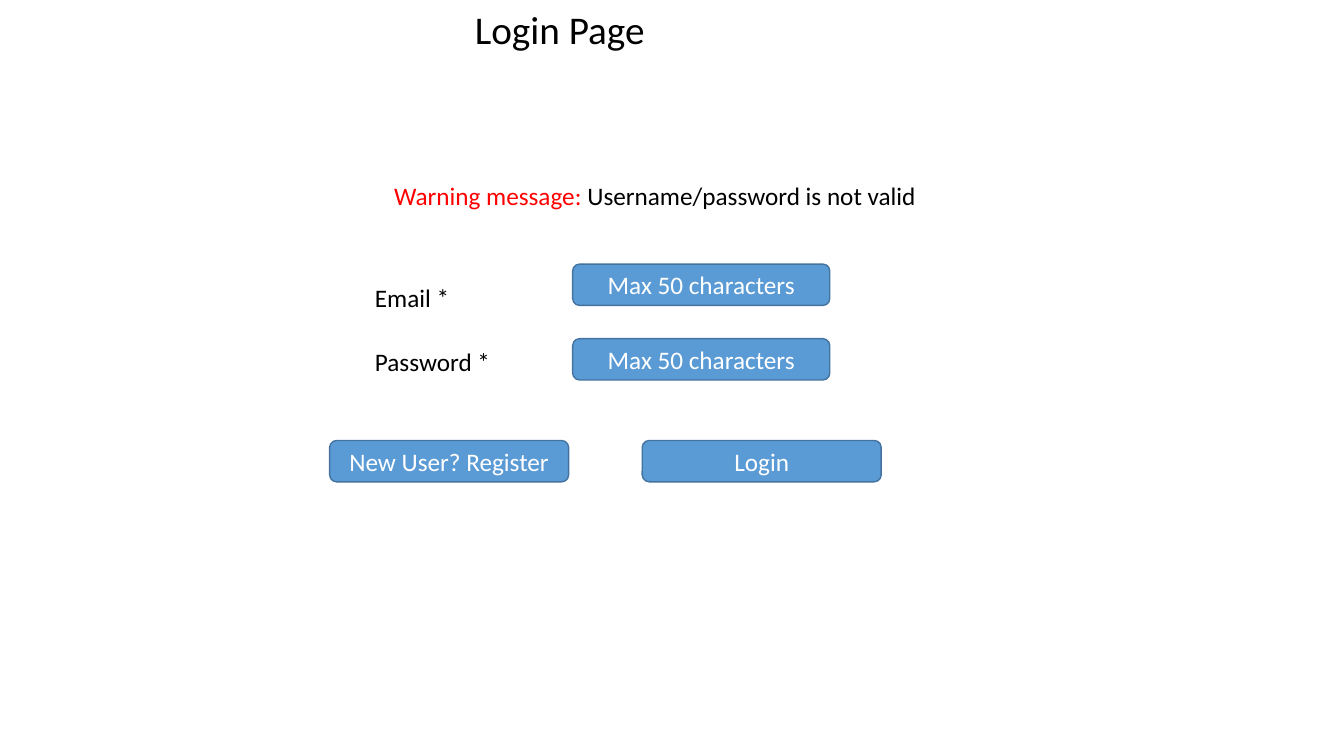
from dataclasses import dataclass

from pptx import Presentation
from pptx.dml.color import RGBColor
from pptx.enum.shapes import MSO_SHAPE
from pptx.enum.text import MSO_ANCHOR, MSO_AUTO_SIZE, PP_ALIGN
from pptx.shapes.autoshape import Shape
from pptx.slide import Slide
from pptx.util import Inches, Pt

FONT = "Calibri"
BLACK, WHITE, RED = "000000", "FFFFFF", "FF0000"
BLUE, EDGE = "5B9BD5", "43739E"
HIGH = 0.41


@dataclass
class Phrase:
    text: str
    color: str = BLACK


@dataclass
class Label:
    left: float
    top: float
    width: float
    words: list[Phrase]


@dataclass
class Button:
    left: float
    top: float
    width: float
    text: str


LABELS = [
    Label(3.62, 2.75, 1.68, [Phrase("Email *")]),
    Label(3.62, 3.39, 1.68, [Phrase("Password *")]),
    Label(3.81, 1.74, 6.54, [Phrase("Warning message: ", RED),
                             Phrase("Username/password is not valid")]),
]
BUTTONS = [
    Button(5.68, 2.62, 2.55, "Max 50 characters"),
    Button(5.68, 3.36, 2.55, "Max 50 characters"),
    Button(3.27, 4.37, 2.37, "New User? Register"),
    Button(6.37, 4.37, 2.37, "Login"),
]


def rgb(color: str) -> RGBColor:
    return RGBColor.from_string(color)


def fill_text(shape: Shape, words: list[Phrase], size: int,
              align: PP_ALIGN, anchor: MSO_ANCHOR) -> None:
    frame = shape.text_frame
    frame.word_wrap = True
    frame.vertical_anchor = anchor
    line = frame.paragraphs[0]
    line.alignment = align
    line.font.name = FONT
    line.font.size = Pt(size)
    for phrase in words:
        run = line.add_run()
        run.text = phrase.text
        run.font.color.rgb = rgb(phrase.color)


def add_title(slide: Slide, text: str) -> None:
    title = slide.shapes.title
    title.left, title.top = Inches(4.61), Inches(0)
    title.width, title.height = Inches(8.3), Inches(0.57)
    fill_text(title, [Phrase(text)], 28, PP_ALIGN.LEFT, MSO_ANCHOR.TOP)
    title.text_frame.auto_size = MSO_AUTO_SIZE.SHAPE_TO_FIT_TEXT


def add_label(slide: Slide, label: Label) -> None:
    box = slide.shapes.add_textbox(Inches(label.left), Inches(label.top),
                                   Inches(label.width), Inches(HIGH))
    fill_text(box, label.words, 18, PP_ALIGN.LEFT, MSO_ANCHOR.TOP)
    box.text_frame.auto_size = MSO_AUTO_SIZE.SHAPE_TO_FIT_TEXT


def add_button(slide: Slide, button: Button) -> None:
    shape = slide.shapes.add_shape(
        MSO_SHAPE.ROUNDED_RECTANGLE, Inches(button.left), Inches(button.top),
        Inches(button.width), Inches(HIGH))
    shape.shadow.inherit = False
    shape.fill.solid()
    shape.fill.fore_color.rgb = rgb(BLUE)
    shape.line.color.rgb = rgb(EDGE)
    shape.line.width = Pt(1)
    fill_text(shape, [Phrase(button.text, WHITE)], 18,
              PP_ALIGN.CENTER, MSO_ANCHOR.MIDDLE)


def main() -> None:
    deck = Presentation()
    deck.slide_width, deck.slide_height = Inches(13.33), Inches(7.5)
    slide = deck.slides.add_slide(deck.slide_layouts.get_by_name("Title Only"))
    add_title(slide, "Login Page")
    for label in LABELS:
        add_label(slide, label)
    for button in BUTTONS:
        add_button(slide, button)
    deck.save("out.pptx")


if __name__ == "__main__":
    main()
